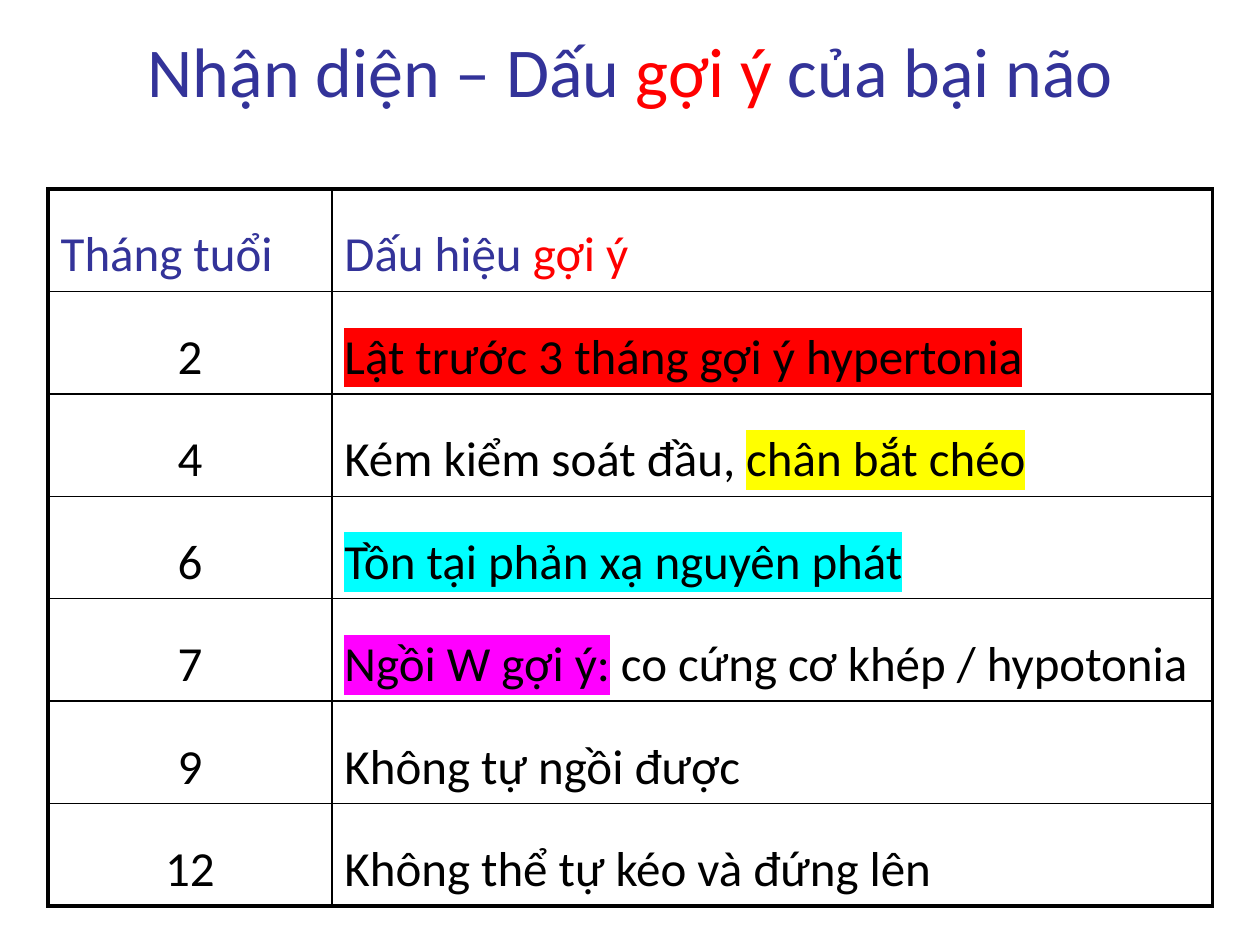
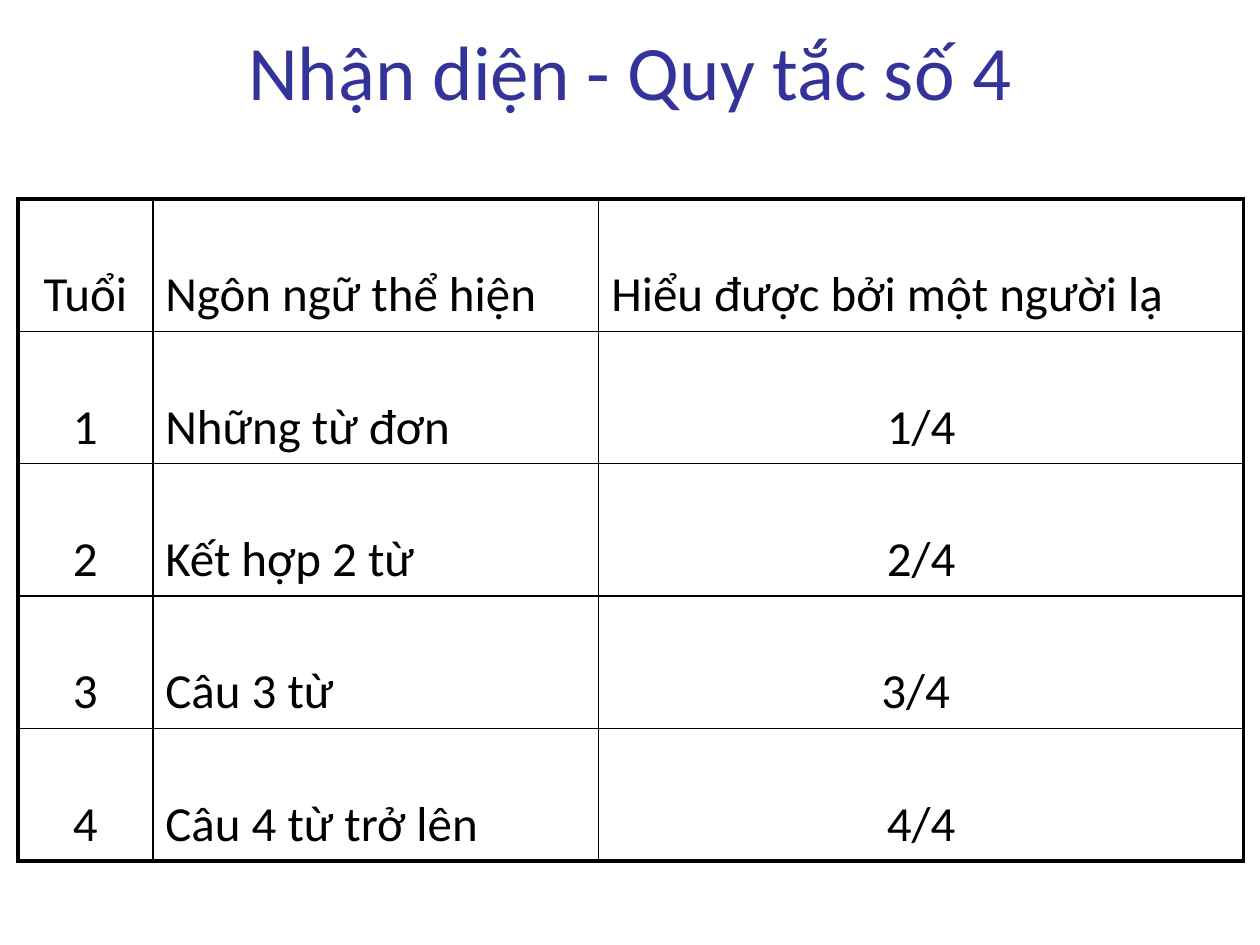
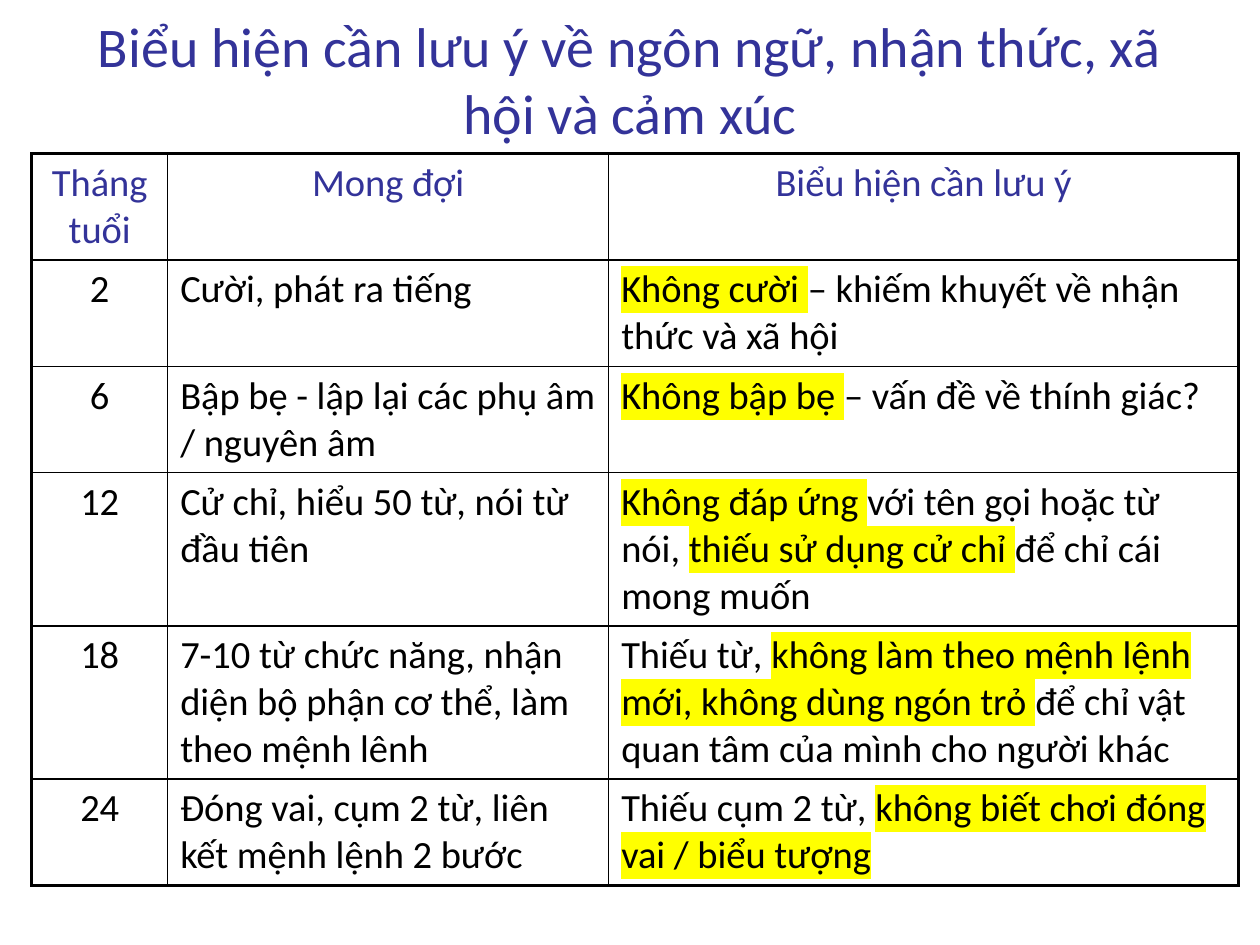
from collections import namedtuple

from pptx import Presentation
from pptx.dml.color import RGBColor
from pptx.enum.text import MSO_ANCHOR, MSO_AUTO_SIZE, PP_ALIGN
from pptx.oxml.ns import qn
from pptx.util import Cm, Pt
from lxml.etree import SubElement, Element

COLORS = {
    "blue": "333399",
    "ink": "000000",
    "red": "FF0000",
    "yellow": "FFFF00",
    "cyan": "00FFFF",
    "magenta": "FF00FF",
    "white": "FFFFFF",
}
FONT = "Calibri"
OUTER, INNER = Pt(2.25), Pt(1)

Part = namedtuple("Part", "text color mark", defaults=(None, None))


def red(text):
    return Part(text, color="red")


def marked(text, mark="yellow"):
    return Part(text, mark=mark)


class Deck:
    """Holds the presentation, its style and the current slide."""

    def __init__(self):
        self.prs = Presentation()
        self.prs.slide_width, self.prs.slide_height = Cm(25.4), Cm(19.05)
        fill = self.prs.slide_master.background.fill
        fill.solid()
        fill.fore_color.rgb = RGBColor.from_string(COLORS["white"])
        self.s = None

    def add_slide(self):
        self.s = self.prs.slides.add_slide(self.prs.slide_layouts[5])

    def add_parts(self, p, parts, size, color, align):
        """Fill a paragraph from a string or a list of strings and Parts."""
        p.alignment = align
        for part in [parts] if isinstance(parts, str) else parts:
            part = Part(part) if isinstance(part, str) else part
            r = p.add_run()
            r.text = part.text
            r.font.name, r.font.size = FONT, Pt(size)
            r.font.color.rgb = RGBColor.from_string(COLORS[part.color or color])
            if part.mark:
                highlight = Element(qn("a:highlight"))
                SubElement(highlight, qn("a:srgbClr"), val=COLORS[part.mark])
                r._r.rPr.find(qn("a:solidFill")).addnext(highlight)

    def title(self, parts, size, left=0.64, top=0.46, width=24.13, height=1.88):
        sp = self.s.shapes.title
        sp.left, sp.top, sp.width, sp.height = map(Cm, (left, top, width, height))
        tf = sp.text_frame
        tf.auto_size, tf.word_wrap = MSO_AUTO_SIZE.NONE, True
        tf.vertical_anchor = MSO_ANCHOR.MIDDLE
        self.add_parts(tf.paragraphs[0], parts, size, "blue", PP_ALIGN.CENTER)

    def borders(self, cell, **widths):
        tcPr = cell._tc.get_or_add_tcPr()
        for i, (side, width) in enumerate(widths.items()):
            ln = Element(qn("a:ln" + side), w=str(width))
            fill = SubElement(ln, qn("a:solidFill"))
            SubElement(fill, qn("a:srgbClr"), val=COLORS["ink"])
            tcPr.insert(i, ln)

    def table(self, rows, left, top, widths, heights, size, centered,
              head_centered, head_color="blue", spacing=1.0):
        """Draw a grid with a heavy frame; centered lists column indexes."""
        n_rows, n_cols = len(rows), len(widths)
        frame = self.s.shapes.add_table(n_rows, n_cols, Cm(left), Cm(top),
                                        Cm(sum(widths)), Cm(sum(heights)))
        table = frame.table
        table.first_row = table.horz_banding = False
        for column, width in zip(table.columns, widths):
            column.width = Cm(width)
        for i, (row, height) in enumerate(zip(rows, heights)):
            table.rows[i].height = Cm(height)
            columns = centered if i else head_centered
            for j, parts in enumerate(row):
                cell = table.cell(i, j)
                cell.fill.background()
                p = cell.text_frame.paragraphs[0]
                p.line_spacing = spacing
                self.add_parts(p, parts, size, "ink" if i else head_color,
                               PP_ALIGN.CENTER if j in columns else PP_ALIGN.LEFT)
                self.borders(cell,
                             L=INNER if j else OUTER,
                             R=INNER if j < n_cols - 1 else OUTER,
                             T=INNER if i else OUTER,
                             B=INNER if i < n_rows - 1 else OUTER)


def cerebral_palsy_signs(deck):
    deck.add_slide()
    deck.title(["Nhận diện – Dấu ", red("gợi ý"), " của bại não"], 40)
    rows = [
        ["Tháng tuổi", ["Dấu hiệu ", red("gợi ý")]],
        ["2", [marked("Lật trước 3 tháng gợi ý hypertonia", "red")]],
        ["4", ["Kém kiểm soát đầu, ", marked("chân bắt chéo")]],
        ["6", [marked("Tồn tại phản xạ nguyên phát", "cyan")]],
        ["7", [marked("Ngồi W gợi ý:", "magenta"),
               " co cứng cơ khép / hypotonia"]],
        ["9", "Không tự ngồi được"],
        ["12", "Không thể tự kéo và đứng lên"],
    ]
    deck.table(rows, 0.97, 3.81, [5.72, 17.75], [2.06] * len(rows), 28,
               centered=[0], head_centered=[], spacing=1.5)


def rule_of_four(deck):
    deck.add_slide()
    deck.title("Nhận diện - Quy tắc số 4", 44)
    rows = [
        ["Tuổi", "Ngôn ngữ thể hiện", "Hiểu được bởi một người lạ"],
        ["1", "Những từ đơn", "1/4"],
        ["2", "Kết hợp 2 từ", "2/4"],
        ["3", "Câu 3 từ", "3/4 "],
        ["4", "Câu 4 từ trở lên", "4/4"],
    ]
    deck.table(rows, 0.36, 4.01, [2.72, 8.99, 13], [2.66] * len(rows), 28,
               centered=[0, 2], head_centered=[0], head_color="ink", spacing=2.0)


def warning_signs(deck):
    deck.add_slide()
    deck.title("Biểu hiện cần lưu ý về ngôn ngữ, nhận thức, xã hội và cảm xúc",
               32, left=1.27, top=0, width=22.86, height=3.18)
    rows = [
        ["Tháng tuổi", "Mong đợi", "Biểu hiện cần lưu ý"],
        ["2", "Cười, phát ra tiếng",
         [marked("Không cười "), "– khiếm khuyết về nhận thức và xã hội"]],
        ["6", "Bập bẹ - lập lại các phụ âm / nguyên âm",
         [marked("Không bập bẹ "), "– vấn đề về thính giác?"]],
        ["12", "Cử chỉ, hiểu 50 từ, nói từ đầu tiên",
         [marked("Không đáp ứng "), "với tên gọi hoặc từ nói, ",
          marked("thiếu sử dụng cử chỉ "), "để chỉ cái mong muốn"]],
        ["18", "7-10 từ chức năng, nhận diện bộ phận cơ thể, làm theo mệnh lênh",
         ["Thiếu từ, ",
          marked("không làm theo mệnh lệnh mới, không dùng ngón trỏ "),
          "để chỉ vật quan tâm của mình cho người khác"]],
        ["24", "Đóng vai, cụm 2 từ, liên kết mệnh lệnh 2 bước",
         ["Thiếu cụm 2 từ, ", marked("không biết chơi đóng vai / biểu tượng")]],
    ]
    two_lines, three_lines = 2.14, 3.08
    heights = [two_lines] * 3 + [three_lines] * 2 + [two_lines]
    deck.table(rows, 0.64, 3.1, [2.74, 8.89, 12.7], heights, 22,
               centered=[0], head_centered=[0, 1, 2])


def main():
    deck = Deck()
    cerebral_palsy_signs(deck)
    rule_of_four(deck)
    warning_signs(deck)
    deck.prs.save("out.pptx")


if __name__ == "__main__":
    main()
